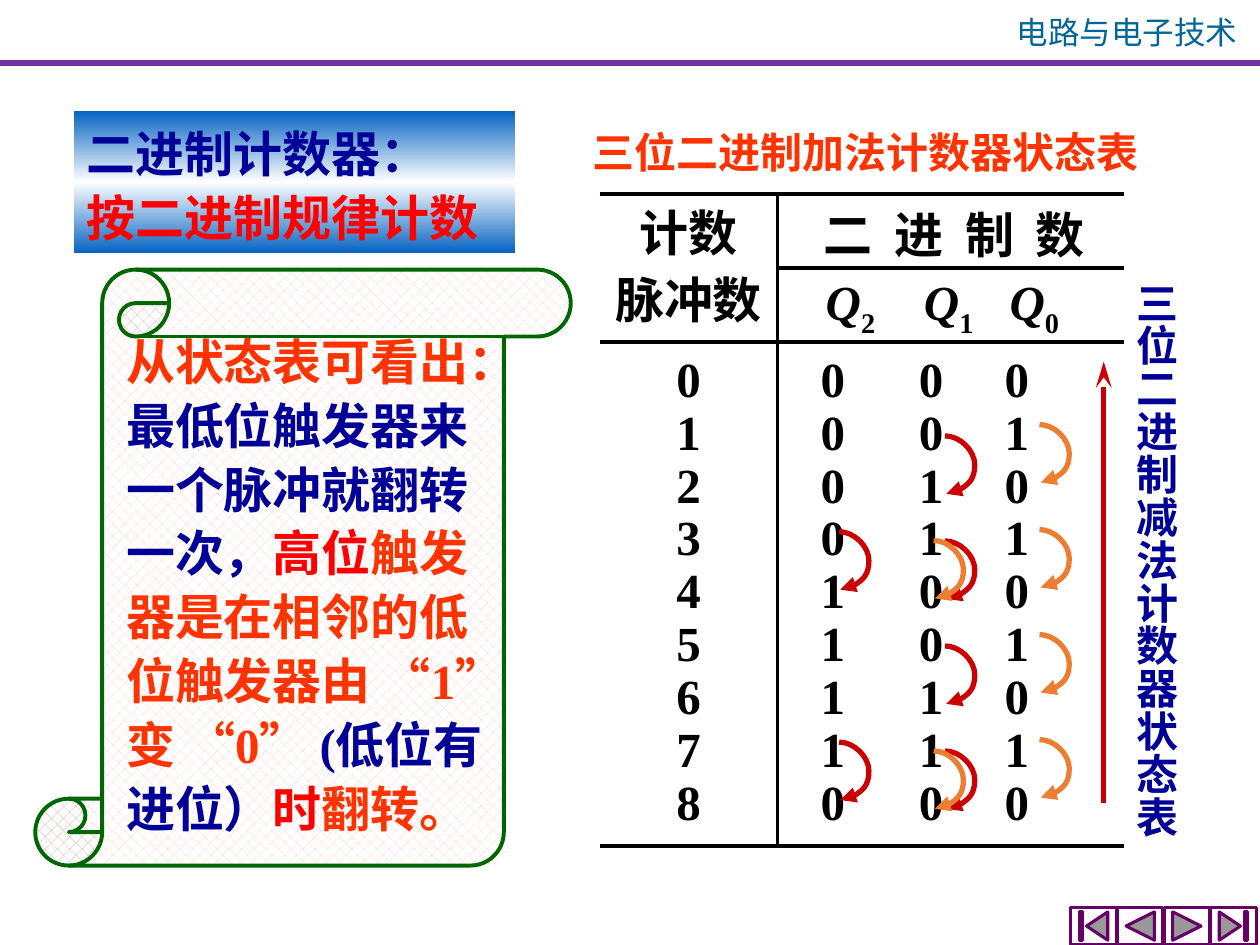
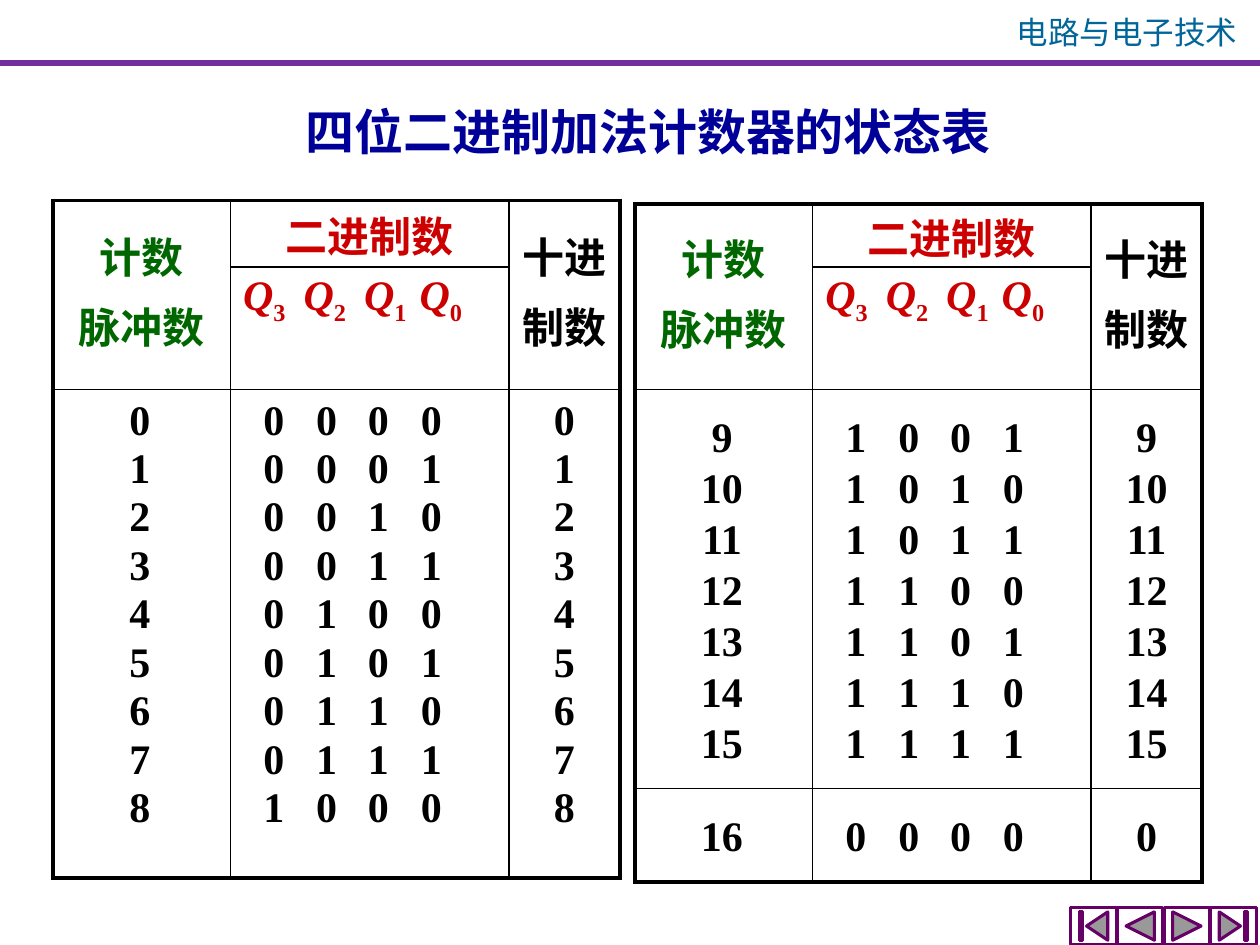
from copy import deepcopy
from dataclasses import dataclass, replace
from typing import NamedTuple, Optional, Sequence, Union

from lxml import etree
from pptx import Presentation
from pptx.dml.color import RGBColor
from pptx.enum.dml import MSO_PATTERN
from pptx.enum.shapes import MSO_CONNECTOR, MSO_SHAPE
from pptx.enum.text import MSO_ANCHOR, PP_ALIGN
from pptx.oxml.ns import qn
from pptx.util import Inches, Pt

LEFT, CENTER = PP_ALIGN.LEFT, PP_ALIGN.CENTER
TOP, MIDDLE = MSO_ANCHOR.TOP, MSO_ANCHOR.MIDDLE
STRAIGHT, CURVE = MSO_CONNECTOR.STRAIGHT, MSO_CONNECTOR.CURVE
TITLE_ONLY_LAYOUT = 5
NAVIGATION_BUTTONS = (
    MSO_SHAPE.ACTION_BUTTON_BEGINNING, MSO_SHAPE.ACTION_BUTTON_BACK_OR_PREVIOUS,
    MSO_SHAPE.ACTION_BUTTON_FORWARD_OR_NEXT, MSO_SHAPE.ACTION_BUTTON_END)


@dataclass(frozen=True)
class Theme:
    latin: str = "Times New Roman"
    east_asian: str = "Noto Sans CJK SC"
    black: str = "000000"
    white: str = "FFFFFF"
    navy: str = "000099"
    red: str = "FF0000"
    vermilion: str = "FF3300"
    crimson: str = "CC0000"
    orange: str = "ED7D31"
    green: str = "006600"
    pink: str = "FFCCCC"
    blue: str = "0563C1"
    teal: str = "006699"
    band: str = "7030A0"
    button: str = "660066"
    large: int = 28
    medium: int = 24
    small: int = 18


THEME = Theme()


class Box(NamedTuple):
    left: float
    top: float
    width: float
    height: float

    def lengths(self) -> list:
        return [Inches(value) for value in self]


class Run(NamedTuple):
    text: str
    color: Optional[str] = None
    italic: bool = False
    subscript: bool = False


Line = Union[str, Sequence[Run]]


@dataclass(frozen=True)
class TextStyle:
    size: int
    color: str = THEME.black
    align: PP_ALIGN = CENTER
    pitch: Optional[float] = None
    gap: float = 0
    tabs: Sequence[float] = ()
    bold: bool = True
    latin: str = THEME.latin


class CellText(NamedTuple):
    row: int
    column: int
    lines: Sequence[Line]
    style: TextStyle
    row_span: int = 1
    column_span: int = 1
    anchor: MSO_ANCHOR = MIDDLE
    left: float = 0.05
    top: float = 0.05
    right: float = 0.05


class Rules(NamedTuple):
    """Line widths of a table in points; 0 leaves the edge open."""
    top: float
    bottom: float
    side: float
    inner: float
    dividers: Sequence[int]
    open_below: Sequence[tuple] = ()


class CarryArrows(NamedTuple):
    left: float
    top: float
    count: int
    pitch: float
    color: str


def rgb(value: str) -> RGBColor:
    return RGBColor.from_string(value)


# Text
def write_lines(text_frame, lines: Sequence[Line], style: TextStyle) -> None:
    for index, line in enumerate(lines):
        runs = (Run(line),) if isinstance(line, str) else line
        paragraph = text_frame.add_paragraph() if index else text_frame.paragraphs[0]
        paragraph.text = runs[0].text
        for extra in runs[1:]:
            paragraph.add_run().text = extra.text
        if style.tabs:
            tab_list = etree.SubElement(paragraph._p.get_or_add_pPr(), qn("a:tabLst"))
            for position in style.tabs:
                etree.SubElement(tab_list, qn("a:tab"), pos=str(Inches(position)), algn="l")
        paragraph.alignment = style.align
        paragraph.line_spacing = Pt(style.pitch) if style.pitch else 1.0
        paragraph.space_before = Pt(style.gap if index else 0)
        for run, spec in zip(paragraph.runs, runs):
            run.font.size, run.font.bold, run.font.italic = Pt(style.size), style.bold, spec.italic
            run.font.name = style.latin
            run.font.color.rgb = rgb(spec.color or style.color)
            properties = run._r.get_or_add_rPr()
            etree.SubElement(properties, qn("a:ea"), typeface=THEME.east_asian)
            if spec.subscript:
                properties.set("baseline", "-25000")


def add_text(slide, box: Box, lines: Sequence[Line], style: TextStyle,
             wrap: bool = True, anchor: MSO_ANCHOR = MIDDLE) -> None:
    text_frame = slide.shapes.add_textbox(*box.lengths()).text_frame
    text_frame.word_wrap, text_frame.vertical_anchor = wrap, anchor
    write_lines(text_frame, lines, style)


def place_title(slide, box: Box, lines: Sequence[Line], style: TextStyle):
    title = slide.shapes.title
    title.left, title.top, title.width, title.height = box.lengths()
    title.text_frame.word_wrap = False
    title.text_frame.vertical_anchor = MIDDLE
    write_lines(title.text_frame, lines, style)
    return title


# Lines and arrows
def add_line(slide, start: tuple, end: tuple, color: str, width: float,
             arrowhead: str = "", kind: MSO_CONNECTOR = STRAIGHT, head_length: str = "med"):
    connector = slide.shapes.add_connector(
        kind, *(Inches(value) for value in (*start, *end)))
    connector.line.color.rgb = rgb(color)
    connector.line.width = Pt(width)
    properties = connector._element.spPr
    if arrowhead:
        etree.SubElement(properties.find(qn("a:ln")), qn("a:tailEnd"),
                         type=arrowhead, len=head_length)
    etree.SubElement(properties, qn("a:effectLst"))
    return connector


def add_carry_arrows(slide, arrows: CarryArrows) -> None:
    height, width, bulge = 0.46, 0.01, 0.24
    for index in range(arrows.count):
        top = arrows.top + index * arrows.pitch
        connector = add_line(slide, (arrows.left, top), (arrows.left + width, top + height),
                             arrows.color, 3, "triangle", CURVE)
        adjustments = connector._element.spPr.find(".//" + qn("a:avLst"))
        etree.SubElement(adjustments, qn("a:gd"), name="adj1",
                         fmla=f"val {round(bulge / width * 100000)}")


# Tables
def set_border(cell, position: int, side: str, width: float) -> None:
    line = etree.Element(qn(f"a:ln{side}"), w=str(Pt(width)))
    if width:
        fill = etree.SubElement(line, qn("a:solidFill"))
        etree.SubElement(fill, qn("a:srgbClr"), val=THEME.black)
    else:
        etree.SubElement(line, qn("a:noFill"))
    cell._tc.get_or_add_tcPr().insert(position, line)


def add_status_table(slide, left: float, top: float, widths: Sequence[float],
                     heights: Sequence[float], cells: Sequence[CellText], rules: Rules) -> None:
    rows, columns = len(heights), len(widths)
    box = Box(left, top, sum(widths), sum(heights))
    table = slide.shapes.add_table(rows, columns, *box.lengths()).table
    table.first_row = table.horz_banding = False
    for column, width in zip(table.columns, widths):
        column.width = Inches(width)
    for row, height in zip(table.rows, heights):
        row.height = Inches(height)

    def vertical(edge: int) -> float:
        if edge in (0, columns):
            return rules.side
        return rules.inner if edge in rules.dividers else 0

    def horizontal(edge: int, column: int) -> float:
        if edge in (0, rows):
            return rules.bottom if edge else rules.top
        return 0 if (edge - 1, column) in rules.open_below else rules.inner

    for row in range(rows):
        for column in range(columns):
            cell = table.cell(row, column)
            cell.fill.background()
            borders = {"L": vertical(column), "R": vertical(column + 1),
                       "T": horizontal(row, column), "B": horizontal(row + 1, column)}
            for position, (side, width) in enumerate(borders.items()):
                set_border(cell, position, side, width)
    for item in cells:
        cell = table.cell(item.row, item.column)
        if item.row_span * item.column_span > 1:
            cell.merge(table.cell(item.row + item.row_span - 1,
                                  item.column + item.column_span - 1))
        cell.margin_left, cell.margin_right = Inches(item.left), Inches(item.right)
        cell.margin_top, cell.margin_bottom = Inches(item.top), 0
        cell.vertical_anchor = item.anchor
        write_lines(cell.text_frame, item.lines, item.style)


def output_label(bit: int, lead: str = "") -> list:
    return [Run(lead + "Q", italic=True), Run(str(bit), subscript=True)]


# Shared frame of every slide
def new_slide(presentation):
    slide = presentation.slides.add_slide(presentation.slide_layouts[TITLE_ONLY_LAYOUT])
    add_text(slide, Box(7.9, 0.05, 2.09, 0.4), ["电路与电子技术"],
             TextStyle(THEME.small, THEME.teal, bold=False, latin=THEME.east_asian))
    for height in (0.49, 0.51):
        add_line(slide, (0, height), (10, height), THEME.band, 1.5)
    for index, kind in enumerate(NAVIGATION_BUTTONS):
        button = slide.shapes.add_shape(kind, *Box(8.5 + 0.37 * index, 7.2, 0.36, 0.3).lengths())
        button.shadow.inherit = False
        button.fill.solid()
        button.fill.fore_color.rgb = rgb(THEME.white)
        button.line.color.rgb = rgb(THEME.button)
        button.line.width = Pt(1.75)
    return slide


# Slide 1: three-bit counter
def add_conclusion_scroll(slide) -> None:
    scroll = slide.shapes.add_shape(MSO_SHAPE.VERTICAL_SCROLL,
                                    *Box(0.28, 2.14, 4.25, 4.73).lengths())
    scroll.shadow.inherit = False
    scroll.fill.patterned()
    scroll.fill.pattern = MSO_PATTERN.PERCENT_30
    scroll.fill.fore_color.rgb = rgb(THEME.pink)
    scroll.fill.back_color.rgb = rgb(THEME.white)
    scroll.line.color.rgb = rgb(THEME.green)
    scroll.line.width = Pt(2.25)
    text_frame = scroll.text_frame
    text_frame.word_wrap, text_frame.vertical_anchor = False, TOP
    text_frame.margin_left, text_frame.margin_top = Inches(0.19), Inches(0.01)
    navy, red = THEME.navy, THEME.red
    lines = ["从状态表可看出：", [Run("最低位触发器来", navy)], [Run("一个脉冲就翻转", navy)],
             [Run("一次，", navy), Run("高位", red), Run("触发")],
             "器是在相邻的低", "位触发器由 “1”", [Run("变 “0” "), Run("(低位有", navy)],
             [Run("进位）", navy), Run("时", red), Run("翻转。")]]
    write_lines(text_frame, lines, TextStyle(THEME.large, THEME.vermilion, LEFT, 30, 6.5))


def build_three_bit_slide(presentation) -> None:
    slide = new_slide(presentation)
    title = place_title(slide, Box(0.59, 0.88, 3.5, 1.13),
                        ["二进制计数器：", [Run("按二进制规律计数", THEME.red)]],
                        TextStyle(THEME.large, THEME.navy, LEFT, 36.6))
    title.fill.gradient()
    title.fill.gradient_angle = 90
    stop_list = title._element.spPr.find(".//" + qn("a:gsLst"))
    stop_list.insert(1, deepcopy(stop_list[0]))
    colors = (THEME.blue, THEME.white, THEME.blue)
    for index, (stop, color) in enumerate(zip(title.fill.gradient_stops, colors)):
        stop.position, stop.color.rgb = index / 2, rgb(color)

    # State table
    add_text(slide, Box(4.57, 0.95, 4.6, 0.51), ["三位二进制加法计数器状态表"],
             TextStyle(THEME.medium, THEME.vermilion), wrap=False)
    heading = TextStyle(THEME.large, pitch=33.5)
    spread = replace(heading, align=LEFT, tabs=[0.56 * step for step in (1, 2, 3)])
    digits = TextStyle(THEME.large, pitch=30.24)
    cells = [CellText(0, 0, ["计数"], heading, top=0.08),
             CellText(1, 0, ["脉冲数"], heading, anchor=TOP),
             CellText(0, 1, ["\t".join("二进制数")], spread, column_span=3, left=0.37, top=0.12),
             CellText(2, 0, [str(count) for count in range(9)], digits, anchor=TOP, top=0.1)]
    for column, bit in enumerate((2, 1, 0), start=1):
        spare = 0.51 if bit == 0 else 0
        cells += [CellText(1, column, [output_label(bit)], TextStyle(THEME.large),
                           left=0.28, right=spare),
                  CellText(2, column, [str(count >> bit & 1) for count in range(9)], digits,
                           anchor=TOP, left=0, top=0.1, right=spare)]
    add_status_table(slide, 4.76, 1.54, (1.41, 0.88, 0.68, 1.19), (0.58, 0.59, 4), cells,
                     Rules(2.25, 3, 0, 2.25, dividers=(1,), open_below=((0, 0),)))

    # Carries between neighbouring bits
    pair, step = 1.67, 2.5 / 3
    for arrows in (CarryArrows(7.5, 3.46, 4, step, THEME.crimson),
                   CarryArrows(8.25, 3.37, 4, step, THEME.orange),
                   CarryArrows(7.41, 4.29, 2, pair, THEME.orange),
                   CarryArrows(6.66, 4.22, 2, pair, THEME.crimson)):
        add_carry_arrows(slide, arrows)
    add_conclusion_scroll(slide)

    # Counting down, read upwards
    add_line(slide, (8.76, 6.37), (8.76, 2.87), THEME.crimson, 3, "stealth", head_length="lg")
    add_text(slide, Box(8.92, 2.21, 0.53, 4.56), ["三位二进制减法计数器状态表"],
             TextStyle(THEME.medium, THEME.navy, pitch=24.5), anchor=TOP)


# Slide 2: four-bit counter
def four_bit_cells(groups: Sequence[range], pitch: float, anchor: MSO_ANCHOR,
                   top: float) -> list:
    heading = TextStyle(THEME.medium, pitch=26, gap=13.7)
    outputs = TextStyle(THEME.medium, THEME.crimson, LEFT, tabs=(0.48, 0.96, 1.4))
    digits = TextStyle(THEME.medium, pitch=pitch)
    bits = replace(digits, align=LEFT, tabs=(0.42, 0.83, 1.25))
    labels = [run for bit in (3, 2, 1, 0) for run in output_label(bit, "" if bit == 3 else "\t")]
    cells = [CellText(0, 0, ["计数", "脉冲数"], replace(heading, color=THEME.green), row_span=2),
             CellText(0, 1, ["二进制数"], replace(heading, color=THEME.crimson, pitch=27), top=0.12),
             CellText(0, 2, ["十进", "制数"], heading, row_span=2),
             CellText(1, 1, [labels], outputs, anchor=TOP, left=0.1, top=0.05)]
    for row, counts in enumerate(groups, start=2):
        cells += [
            CellText(row, 0, [str(count) for count in counts], digits, anchor=anchor,
                     top=top, right=0.08),
            CellText(row, 1, ["\t".join(f"{count % 16:04b}") for count in counts], bits,
                     anchor=anchor, left=0.26, top=top),
            CellText(row, 2, [str(count % 16) for count in counts], digits, anchor=anchor,
                     top=top)]
    return cells


def build_four_bit_slide(presentation) -> None:
    slide = new_slide(presentation)
    place_title(slide, Box(2.31, 0.75, 5.67, 0.57), ["四位二进制加法计数器的状态表"],
                TextStyle(THEME.large, THEME.navy))
    widths = (1.41, 2.21, 0.88)
    rules = Rules(2.25, 2.25, 2.25, 1, dividers=(1, 2))
    add_status_table(slide, 0.42, 1.59, widths, (0.53, 0.97, 3.88),
                     four_bit_cells([range(9)], 27.7, TOP, 0.05), rules)
    add_status_table(slide, 5.04, 1.62, widths, (0.5, 0.97, 3.17, 0.74),
                     four_bit_cells([range(9, 16), range(16, 17)], 29.1, MIDDLE, 0), rules)


def main() -> None:
    presentation = Presentation()
    presentation.slide_width, presentation.slide_height = Inches(10), Inches(7.5)
    build_three_bit_slide(presentation)
    build_four_bit_slide(presentation)
    presentation.save("out.pptx")


if __name__ == "__main__":
    main()
